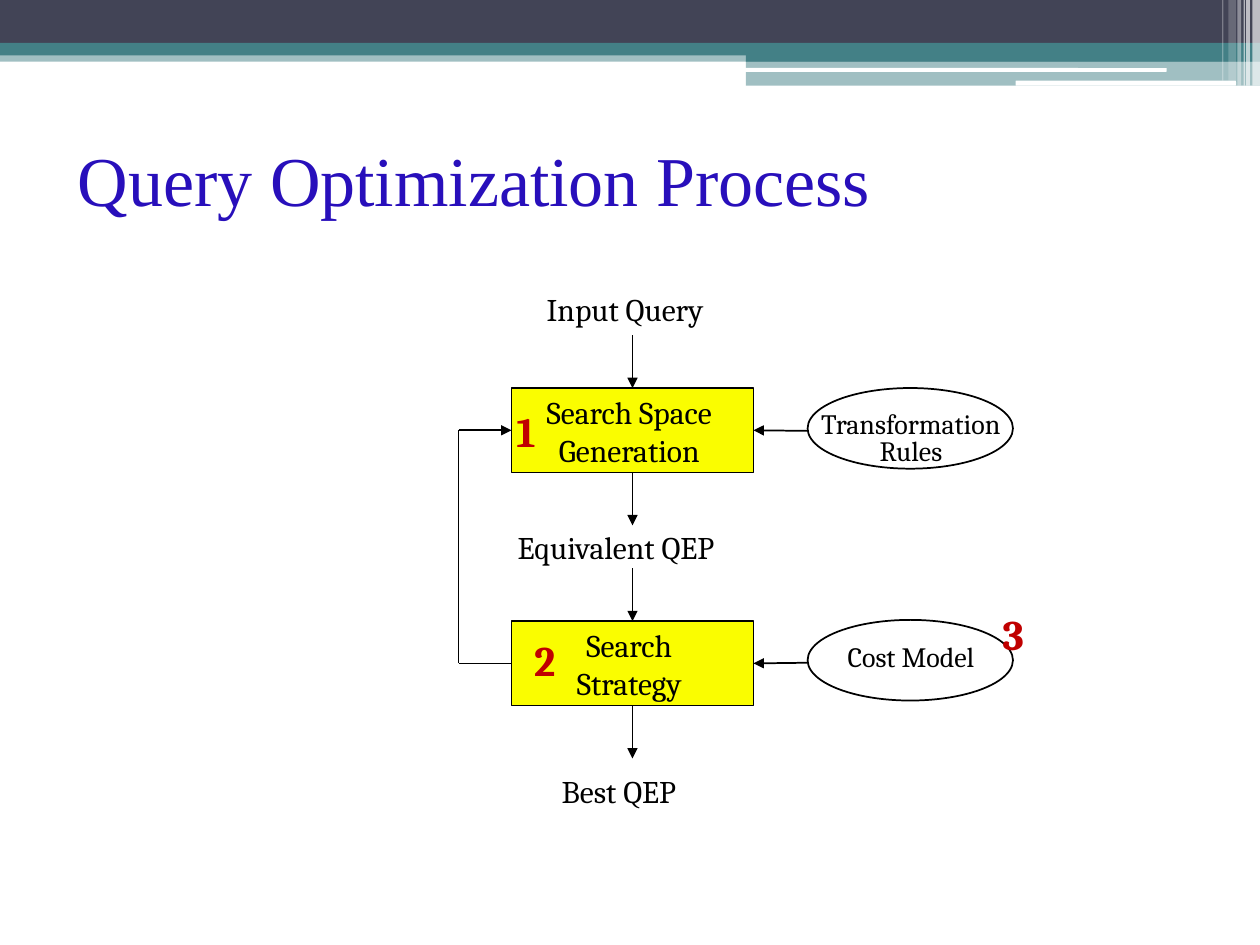
from lxml import etree
from pptx import Presentation
from pptx import util as u
from pptx.dml.color import RGBColor
from pptx.enum import shapes, text
from pptx.oxml import ns

BLACK, WHITE, YELLOW, RED = "000000", "FFFFFF", "FAFD00", "C00000"
NAVY, TEAL, BLUE = "424456", "438086", "280FBB"
TOP, LEFT, BOTTOM, RIGHT = range(4)


def color(value):
    return RGBColor.from_string(value)


def add_element(parent, tag, **attributes):
    return etree.SubElement(parent, ns.qn(tag), attributes)


def add_block(slide, kind, box, fill=None, line=None, opacity=100):
    shape = slide.shapes.add_shape(kind, *map(u.Inches, box))
    shape.shadow.inherit = False
    if fill:
        shape.fill.solid()
        shape.fill.fore_color.rgb = color(fill)
        if opacity < 100:
            tint = shape.fill._xPr.find(".//" + ns.qn("a:srgbClr"))
            add_element(tint, "a:alpha", val=str(opacity * 1000))
    else:
        shape.fill.background()
    if line:
        shape.line.color.rgb = color(line)
        shape.line.width = u.Pt(1)
    else:
        shape.line.fill.background()
    return shape


def add_text(slide, content, box, size=18, font="Cambria", fill=BLACK, bold=False,
             align=None, spacing=None, wrap=False, anchor=text.MSO_ANCHOR.TOP):
    frame = slide.shapes.add_textbox(*map(u.Inches, box)).text_frame
    frame.word_wrap = wrap
    frame.auto_size = text.MSO_AUTO_SIZE.NONE if wrap else text.MSO_AUTO_SIZE.SHAPE_TO_FIT_TEXT
    frame.vertical_anchor = anchor
    frame.text = content
    for paragraph in frame.paragraphs:
        paragraph.alignment = align
        paragraph.line_spacing = spacing
        for run in paragraph.runs:
            run.font.name = font
            run.font.size = u.Pt(size)
            run.font.bold = bold
            run.font.color.rgb = color(fill)


def add_line(slide, start, end, begin=None, finish=None, arrow=True):
    connector = slide.shapes.add_connector(
        shapes.MSO_CONNECTOR.STRAIGHT, *map(u.Inches, (*start, *end)))
    if begin:
        connector.begin_connect(*begin)
    if finish:
        connector.end_connect(*finish)
    connector.line.color.rgb = color(BLACK)
    connector.line.width = u.Pt(1)
    if arrow:
        add_element(connector.line._get_or_add_ln(), "a:tailEnd", type="triangle")
    add_element(connector._element.spPr, "a:effectLst")


def add_header(slide, left, top, width):
    rectangle = shapes.MSO_SHAPE.RECTANGLE
    rounded = shapes.MSO_SHAPE.ROUNDED_RECTANGLE
    bands = [
        (rectangle, 0, 0.4, width, 0.09, TEAL, 50),
        (rectangle, 0, 0, width, 0.34, NAVY, 100),
        (rectangle, 0, 0.34, width, 0.1, TEAL, 100),
        (rectangle, 5.92, 0.39, width - 5.92, 0.1, TEAL, 100),
        (rectangle, 5.92, 0.48, width - 5.92, 0.2, TEAL, 50),
        (rounded, 5.91, 0.54, 3.35, 0.03, WHITE, 100),
        (rounded, 8.06, 0.64, 1.75, 0.04, WHITE, 100),
    ]
    stripes = [(9.94, 0.06, 0.68, 65), (9.89, 0.03, 0.68, 65), (9.87, 0.01, 0.68, 60),
               (9.82, 0.03, 0.68, 40), (9.75, 0.06, 0.64, 20), (9.7, 0.01, 0.64, 30)]
    bands += [(rectangle, x, 0, stripe_width, height, WHITE, opacity)
              for x, stripe_width, height, opacity in stripes]
    for kind, x, y, band_width, height, fill, opacity in bands:
        add_block(slide, kind, (left + x, top + y, band_width, height), fill, opacity=opacity)


def add_title(slide, box):
    add_text(slide, "Query Optimization Process", box, size=40, font="Times New Roman",
             fill=BLUE, wrap=True, anchor=text.MSO_ANCHOR.MIDDLE)


def add_step(slide, content, box, text_box):
    left, top, width, height = box
    x, y, text_width, text_height = text_box
    step = add_block(slide, shapes.MSO_SHAPE.RECTANGLE, box, YELLOW, BLACK)
    add_text(slide, content, (left + x, top + y, text_width, text_height),
             align=text.PP_ALIGN.CENTER)
    center, bottom = left + width / 2, top + height
    add_line(slide, (center, top - 0.42), (center, top), finish=(step, TOP))
    add_line(slide, (center, bottom), (center, bottom + 0.42), begin=(step, BOTTOM))
    return step


def add_input(slide, content, box, text_box, step):
    left, top, width, height = box
    x, y, text_width, text_height = text_box
    add_block(slide, shapes.MSO_SHAPE.OVAL, box, line=BLACK)
    add_text(slide, content, (left + x, top + y, text_width, text_height), size=16,
             align=text.PP_ALIGN.CENTER, spacing=0.8)
    middle = top + height / 2 + 0.02
    add_line(slide, (left, middle), (left - 0.43, middle), finish=(step, RIGHT))


def add_feedback(slide, left, top, width, height, source, target):
    right, bottom = left + width, top + height
    add_line(slide, (right, bottom), (left, bottom), begin=(source, LEFT), arrow=False)
    add_line(slide, (left, bottom), (left, top), arrow=False)
    add_line(slide, (left, top), (right, top), finish=(target, LEFT))


def add_process(slide, left, top):
    step_size, oval_size = (1.92, 0.67), (1.63, 0.64)
    step_left, oval_left = left + 0.42, left + 2.77
    first, second = top + 0.83, top + 2.68
    generation = add_step(slide, "Search Space\nGeneration", (step_left, first, *step_size),
                          (0.05, -0.01, 1.77, 0.7))
    strategy = add_step(slide, "Search\nStrategy", (step_left, second, *step_size),
                        (0.37, -0.01, 1.13, 0.7))
    add_input(slide, "Transformation\nRules", (oval_left, first, *oval_size),
              (-0.03, 0.15, 1.7, 0.53), generation)
    add_input(slide, "Cost Model", (oval_left, second - 0.01, *oval_size),
              (0.16, 0.16, 1.32, 0.31), strategy)
    middle = step_size[1] / 2
    add_feedback(slide, left, first + middle, 0.42, second - first, strategy, generation)
    for content, x, y, width in [("Input Query", 0.6, 0, 1.51),
                                 ("Equivalent QEP", 0.37, 1.89, 1.97),
                                 ("Best QEP", 0.72, 3.83, 1.3)]:
        add_text(slide, content, (left + x, top + y, width, 0.4))
    for content, x, y, width in [("1", 0.36, 0.92, 0.37), ("2", 0.5, 2.74, 0.41),
                                 ("3", 4.22, 2.53, 0.41)]:
        add_text(slide, content, (left + x, top + y, width, 0.5), size=24, fill=RED, bold=True)


def main():
    presentation = Presentation()
    presentation.slide_width = u.Inches(10)
    presentation.slide_height = u.Inches(7.5)
    slide = presentation.slides.add_slide(presentation.slide_layouts[6])
    add_header(slide, 0, 0, 10)
    add_title(slide, (0.52, 0.83, 9, 1.17))
    add_process(slide, 3.64, 2.25)
    presentation.save("out.pptx")


if __name__ == "__main__":
    main()
